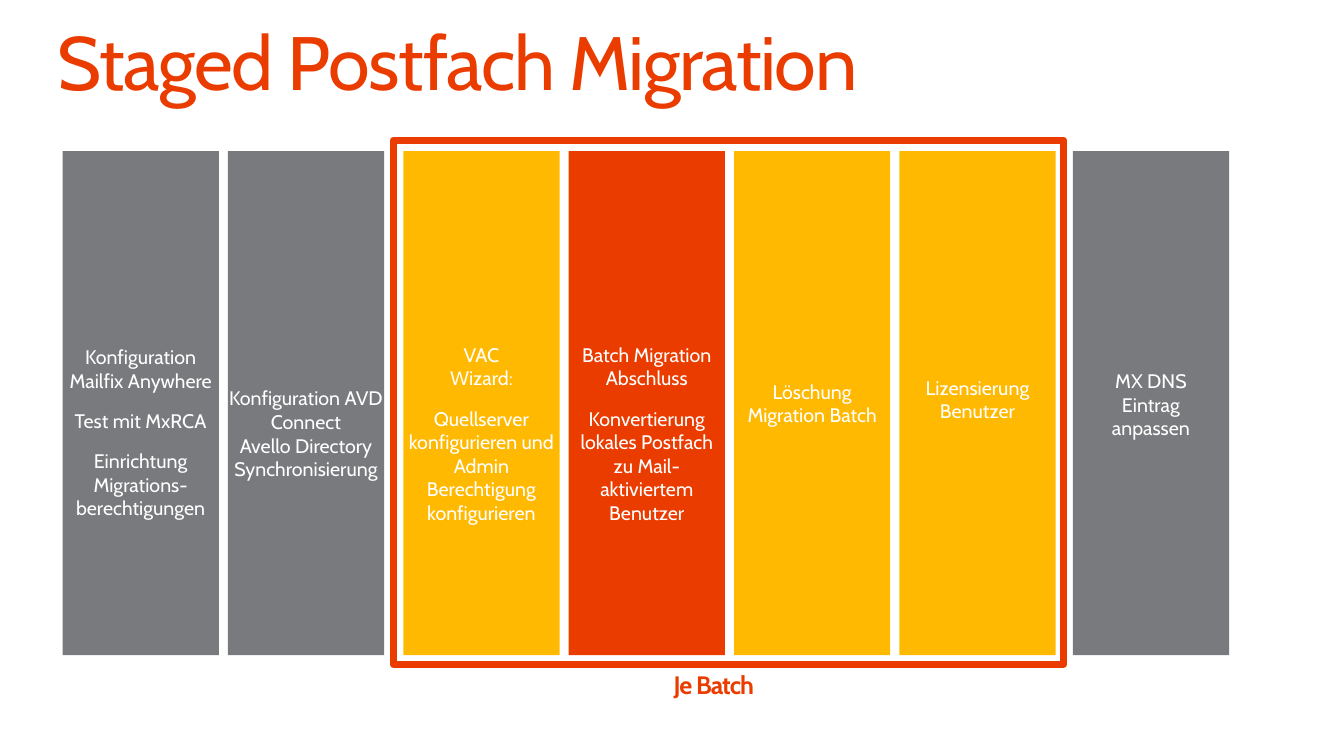
from lxml import etree
from pptx import Presentation
from pptx import util as u
from pptx.dml import color
from pptx.enum import shapes, text
from pptx.oxml import ns

RED, AMBER, GREY, WHITE = "EB3C00", "FFB900", "797A7D", "FFFFFF"


def rgb(code):
    return color.RGBColor.from_string(code)


class MigrationSlide:
    """Holds the style and the slide being filled."""

    font = "Cabin"
    panel_top, panel_width, panel_height = 1.5, 1.55, 5
    inset = 0.05

    def __init__(self, slide):
        self.slide = slide

    def format_runs(self, paragraph, size, code, bold=False, tracking=0):
        for run in paragraph.runs:
            run.font.name = self.font
            run.font.size = u.Pt(size)
            run.font.bold = bold
            run.font.color.rgb = rgb(code)
            if tracking:
                run.font._element.set("spc", str(round(tracking * 100)))

    def rectangle(self, left, top, width, height):
        shape = self.slide.shapes.add_shape(
            shapes.MSO_SHAPE.RECTANGLE,
            u.Inches(left), u.Inches(top), u.Inches(width), u.Inches(height))
        shape.shadow.inherit = False
        return shape

    def label(self, left, top, width, height, words, size, tracking,
              bold=False, align=text.PP_ALIGN.LEFT, spacing=1.0):
        box = self.slide.shapes.add_textbox(
            u.Inches(left), u.Inches(top), u.Inches(width), u.Inches(height))
        frame = box.text_frame
        frame.word_wrap = True
        frame.margin_left = frame.margin_right = 0
        frame.margin_top = frame.margin_bottom = 0
        frame.text = words
        line = frame.paragraphs[0]
        line.alignment = align
        line.line_spacing = spacing
        self.format_runs(line, size, RED, bold, tracking)

    def panel(self, left, fill, shift, steps):
        """A column; shift moves its centred text down, or up if negative."""
        column = self.rectangle(left, self.panel_top,
                                self.panel_width, self.panel_height)
        column.fill.solid()
        column.fill.fore_color.rgb = rgb(fill)
        column.line.fill.background()
        frame = column.text_frame
        frame.word_wrap = True
        frame.vertical_anchor = text.MSO_ANCHOR.MIDDLE
        frame.margin_left = frame.margin_right = 0
        frame.margin_top = u.Inches(self.inset + max(2 * shift, 0))
        frame.margin_bottom = u.Inches(self.inset + max(-2 * shift, 0))
        for index, (words, gap) in enumerate(steps):
            step = frame.add_paragraph() if index else frame.paragraphs[0]
            step.text = words
            step.alignment = text.PP_ALIGN.CENTER
            step.space_after = u.Pt(gap)
            self.format_runs(step, 14, WHITE)

    def frame(self, left, top, width, height):
        border = self.rectangle(left, top, width, height)
        border.fill.background()
        border.line.color.rgb = rgb(RED)
        border.line.width = u.Pt(5)
        etree.SubElement(border.line._get_or_add_ln(), ns.qn("a:round"))


# Each group: left edge, then columns of fill, text shift and (step, gap after)
PITCH = 1.64
PREPARATION = (0.62, [
    (GREY, 0.29, [("Konfiguration Mailfix Anywhere", 12),
                  ("Test mit MxRCA", 12),
                  ("Einrichtung Migrations-berechtigungen", 0)]),
    (GREY, 0.3, [("Konfiguration AVD Connect", 0),
                 ("Avello Directory Synchronisierung", 0)]),
])
BATCH = (4, [
    (AMBER, 0.3, [("VAC", 0), ("Wizard:", 12),
                  ("Quellserver konfigurieren und Admin Berechtigung "
                   "konfigurieren", 0)]),
    (RED, 0.3, [("Batch Migration Abschluss", 12),
                ("Konvertierung lokales Postfach zu Mail-aktiviertem "
                 "Benutzer", 0)]),
    (AMBER, 0, [("Löschung Migration Batch", 0)]),
    (AMBER, -0.04, [("Lizensierung Benutzer", 0)]),
])
COMPLETION = (10.64, [(GREY, 0.01, [("MX DNS\nEintrag\nanpassen", 0)])])


def main():
    deck = Presentation()
    deck.slide_width, deck.slide_height = u.Inches(13.33), u.Inches(7.5)
    page = MigrationSlide(deck.slides.add_slide(deck.slide_layouts[6]))

    # Title
    page.label(0.57, 0.25, 12.19, 0.82, "Staged Postfach Migration",
               54, -1, spacing=0.9)

    # Migration columns
    for start, columns in (PREPARATION, BATCH, COMPLETION):
        for index, (fill, shift, steps) in enumerate(columns):
            page.panel(start + index * PITCH, fill, shift, steps)

    # Frame around the steps repeated for each batch
    page.frame(3.9, 1.39, 6.65, 5.2)
    page.label(5.28, 6.64, 3.6, 0.3, "Je Batch", 18, -0.7,
               bold=True, align=text.PP_ALIGN.CENTER)

    deck.save("out.pptx")


if __name__ == "__main__":
    main()
